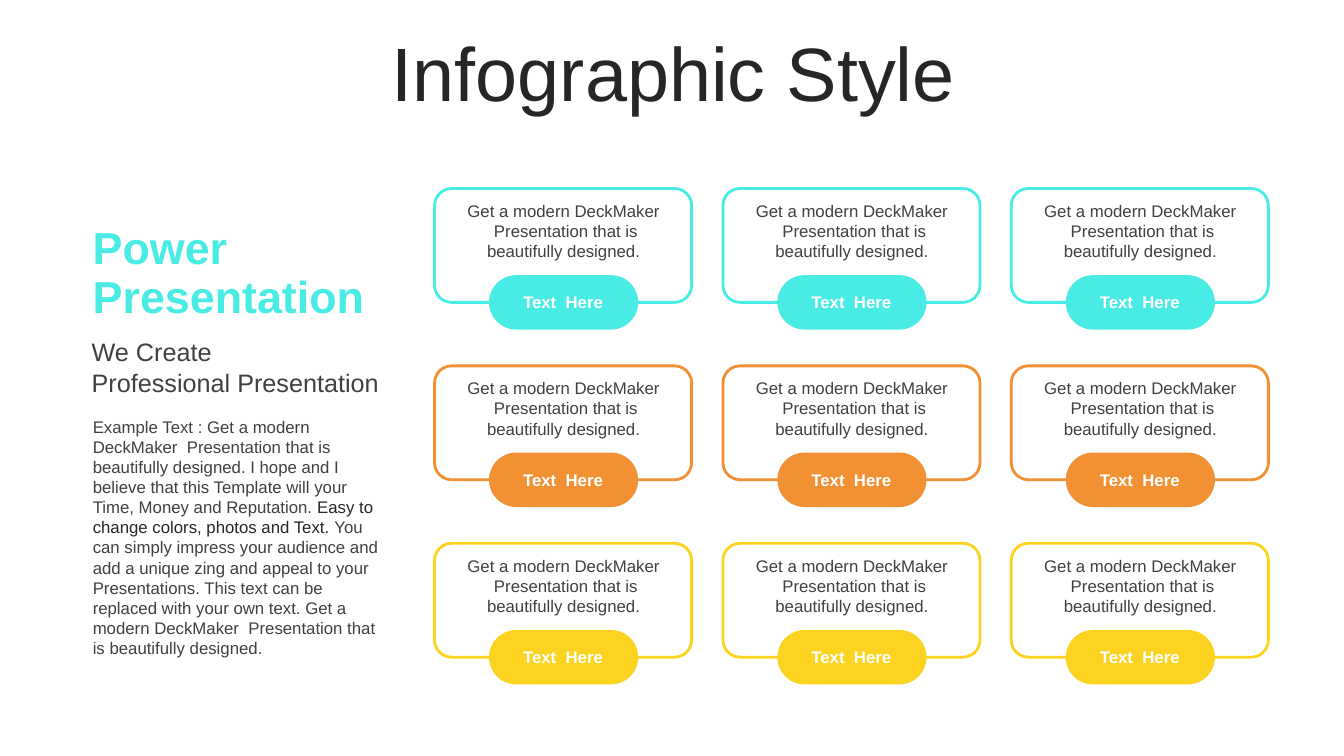
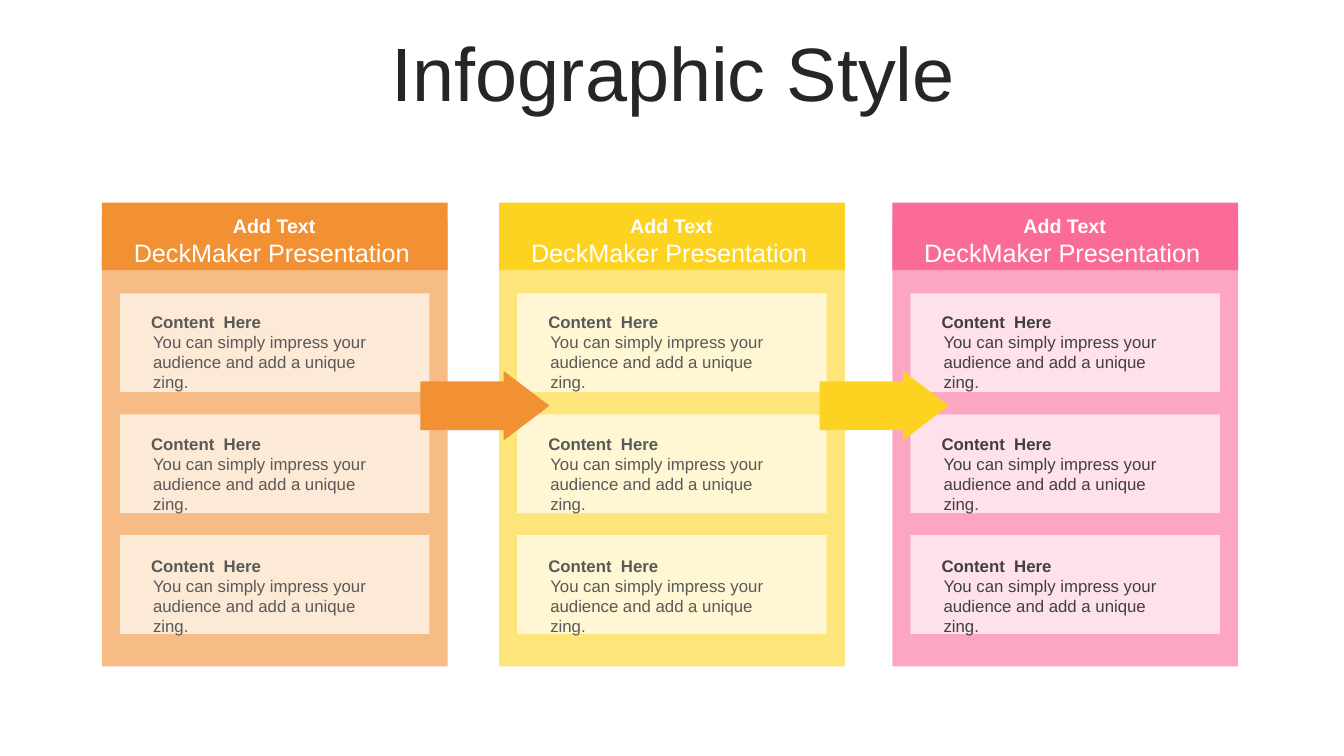
from pptx import Presentation
from pptx.dml.color import RGBColor
from pptx.enum.shapes import MSO_SHAPE
from pptx.enum.text import MSO_ANCHOR, MSO_AUTO_SIZE, PP_ALIGN
from pptx.util import Inches, Pt

WHITE = RGBColor(0xFF, 0xFF, 0xFF)
INK = RGBColor(0x26, 0x26, 0x26)
DARK_GRAY = RGBColor(0x40, 0x40, 0x40)
GRAY = RGBColor(0x59, 0x59, 0x59)
TURQUOISE = RGBColor(0x49, 0xEC, 0xE5)
ORANGE = RGBColor(0xF2, 0x90, 0x34)
ORANGE_MID = RGBColor(0xF7, 0xBC, 0x85)
ORANGE_PALE = RGBColor(0xFC, 0xE9, 0xD6)
YELLOW = RGBColor(0xFD, 0xD3, 0x21)
YELLOW_MID = RGBColor(0xFE, 0xE5, 0x7A)
YELLOW_PALE = RGBColor(0xFF, 0xF6, 0xD3)
PINK = RGBColor(0xFB, 0x6B, 0x97)
PINK_MID = RGBColor(0xFD, 0xA6, 0xC1)
PINK_PALE = RGBColor(0xFE, 0xE1, 0xEA)


class Deck:
    font_name = "Arial"
    default_insets = (0.1, 0.05, 0.1, 0.05)

    def __init__(self):
        self.presentation = Presentation()
        self.presentation.slide_width = Inches(13.33)
        self.presentation.slide_height = Inches(7.5)
        self.slide = None

    def new_slide(self, title):
        layout = self.presentation.slide_layouts[6]
        self.slide = self.presentation.slides.add_slide(layout)
        self.text(0.35, 0.37, 12.66, 0.79, [[(title, INK)]], 54,
                  align=PP_ALIGN.CENTER, line_spacing=0.9,
                  anchor=MSO_ANCHOR.MIDDLE, auto_size=MSO_AUTO_SIZE.NONE)

    def shape(self, kind, left, top, width, height, fill, line=None, adjustments=()):
        shape = self.slide.shapes.add_shape(
            kind, Inches(left), Inches(top), Inches(width), Inches(height))
        shape.shadow.inherit = False
        shape.fill.solid()
        shape.fill.fore_color.rgb = fill
        if line is None:
            shape.line.fill.background()
        else:
            shape.line.color.rgb = line
            shape.line.width = Pt(2)
        for index, value in enumerate(adjustments):
            shape.adjustments[index] = value

    def text(self, left, top, width, height, paragraphs, size, bold=False,
             align=PP_ALIGN.LEFT, line_spacing=None, insets=default_insets,
             anchor=MSO_ANCHOR.TOP, auto_size=MSO_AUTO_SIZE.SHAPE_TO_FIT_TEXT):
        box = self.slide.shapes.add_textbox(
            Inches(left), Inches(top), Inches(width), Inches(height))
        frame = box.text_frame
        frame.word_wrap = True
        frame.auto_size = auto_size
        frame.vertical_anchor = anchor
        (frame.margin_left, frame.margin_top,
         frame.margin_right, frame.margin_bottom) = map(Inches, insets)
        for index, runs in enumerate(paragraphs):
            paragraph = frame.add_paragraph() if index else frame.paragraphs[0]
            paragraph.alignment = align
            paragraph.line_spacing = line_spacing
            for words, color in runs:
                run = paragraph.add_run()
                run.text = words
                run.font.name = self.font_name
                run.font.size = Pt(size)
                run.font.bold = bold
                run.font.color.rgb = color

    def badge_card(self, left, top, color):
        self.shape(MSO_SHAPE.ROUNDED_RECTANGLE, left, top, 2.55, 1.13,
                   WHITE, color, [0.15])
        self.shape(MSO_SHAPE.ROUNDED_RECTANGLE, left + 0.54, top + 0.86, 1.48, 0.54,
                   color, adjustments=[0.5])
        message = "Get a modern DeckMaker  Presentation that is beautifully designed."
        self.text(left + 0.22, top + 0.07, 2.12, 0.71, [[(message, DARK_GRAY)]], 12,
                  align=PP_ALIGN.CENTER)
        self.text(left + 0.69, top + 0.98, 1.17, 0.3, [[("Text  Here", WHITE)]], 12,
                  bold=True, align=PP_ALIGN.CENTER)

    def column(self, left, header_color, body_color, card_color, text_color):
        self.shape(MSO_SHAPE.RECTANGLE, left, 2.19, 3.43, 4.42, body_color)
        self.shape(MSO_SHAPE.RECTANGLE, left, 2.01, 3.43, 0.67, header_color)
        self.text(left + 0.2, 2.07, 3.02, 0.34, [[("Add Text", WHITE)]], 14,
                  bold=True, align=PP_ALIGN.CENTER)
        self.text(left + 0.21, 2.31, 3.02, 0.3, [[("DeckMaker Presentation ", WHITE)]], 18,
                  align=PP_ALIGN.CENTER)
        message = "You can simply impress your audience and add a unique zing."
        for row in range(3):
            self.shape(MSO_SHAPE.RECTANGLE, left + 0.18, 2.91 + row * 1.2, 3.07, 0.98,
                       card_color)
            text_top = 3.04 + row * 1.21
            self.text(left + 0.41, text_top + 0.2, 2.6, 0.5, [[(message, text_color)]], 12)
            self.text(left + 0.39, text_top, 2.64, 0.3, [[("Content  Here", text_color)]], 12,
                      bold=True)

    def arrow(self, left, color):
        self.shape(MSO_SHAPE.RIGHT_ARROW, left, 3.68, 1.28, 0.69, color,
                   adjustments=[0.7, 0.66])


def build_card_grid(deck):
    deck.new_slide("Infographic Style")
    for row, color in enumerate((TURQUOISE, ORANGE, YELLOW)):
        for column in range(3):
            deck.badge_card(4.31 + column * 2.86, 1.87 + row * 1.76, color)
    heading_insets = (0.08, 0, 0.04, 0)
    deck.text(0.84, 2.23, 3.16, 0.98,
              [[("Power", TURQUOISE)], [("Presentation", TURQUOISE)]], 32,
              bold=True, line_spacing=Pt(35), insets=heading_insets)
    deck.text(0.83, 3.34, 3.16, 0.61,
              [[("We Create", DARK_GRAY)], [("Professional Presentation", DARK_GRAY)]], 18,
              insets=heading_insets)
    description = [
        ("Example Text : Get a modern DeckMaker  Presentation that is beautifully "
         "designed. I hope and I believe that this Template will your Time, Money "
         "and Reputation. ", DARK_GRAY),
        ("Easy to change colors, photos and Text. ", INK),
        ("You can simply impress your audience and add a unique zing and appeal to "
         "your Presentations. This text can be replaced with your own text. Get a "
         "modern DeckMaker  Presentation that is beautifully designed.", DARK_GRAY),
    ]
    deck.text(0.84, 4.08, 3.15, 2.52, [description], 12, insets=(0.08, 0.05, 0.12, 0.05))


def build_column_flow(deck):
    deck.new_slide("Infographic Style")
    deck.column(1.01, ORANGE, ORANGE_MID, ORANGE_PALE, GRAY)
    deck.column(4.95, YELLOW, YELLOW_MID, YELLOW_PALE, GRAY)
    deck.column(8.85, PINK, PINK_MID, PINK_PALE, DARK_GRAY)
    deck.arrow(4.17, ORANGE)
    deck.arrow(8.13, YELLOW)


def main():
    deck = Deck()
    build_card_grid(deck)
    build_column_flow(deck)
    deck.presentation.save("out.pptx")


if __name__ == "__main__":
    main()
